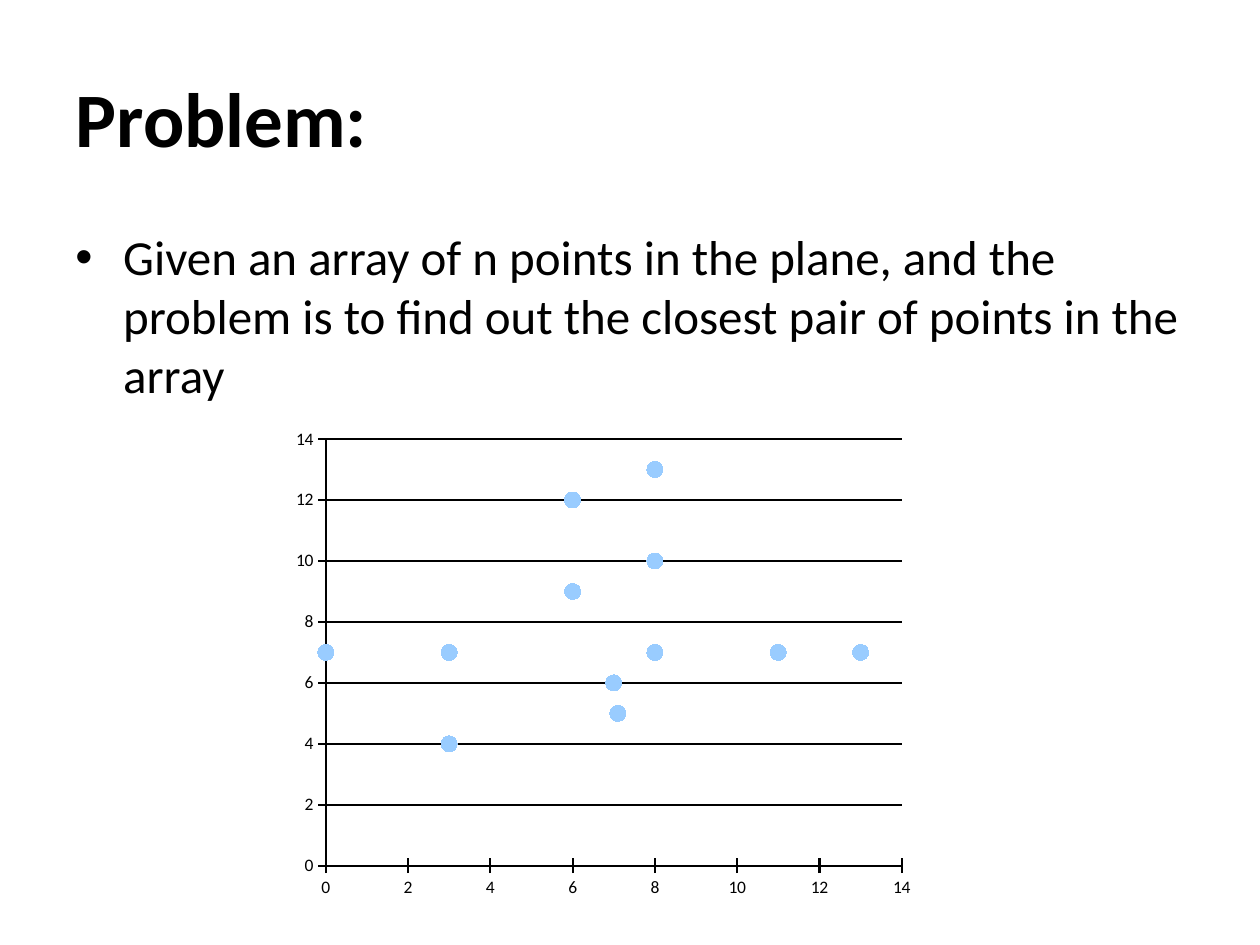
from lxml import etree
from pptx import Presentation
from pptx.chart.data import XyChartData
from pptx.dml.color import RGBColor
from pptx.enum.chart import XL_CHART_TYPE, XL_MARKER_STYLE, XL_TICK_MARK
from pptx.enum.text import MSO_ANCHOR, PP_ALIGN
from pptx.oxml.ns import qn
from pptx.util import Inches, Pt

SCATTER = XL_CHART_TYPE.XY_SCATTER
CIRCLE = XL_MARKER_STYLE.CIRCLE
CROSS, NONE = XL_TICK_MARK.CROSS, XL_TICK_MARK.NONE
MIDDLE, LEFT = MSO_ANCHOR.MIDDLE, PP_ALIGN.LEFT

INK, DOT = "000000", "99CCFF"
FACE = "Calibri"
POINTS = [(0, 7), (3, 7), (3, 4), (6, 12), (6, 9), (7, 6),
          (7.1, 5), (8, 13), (8, 10), (8, 7), (11, 7), (13, 7)]
PLOT = {"x": 0.066, "y": 0.04, "w": 0.9, "h": 0.873}


def color(code):
    return RGBColor.from_string(code)


def style(font, **values):
    values = {"name": FACE, **values}
    for key, value in values.items():
        setattr(font, key, value)
    font.color.rgb = color(INK)


def stroke(line):
    line.color.rgb = color(INK)
    line.width = Pt(1.25)


def add_title(slide, box):
    title = slide.shapes.title
    for key, value in zip(("left", "top", "width", "height"), box):
        setattr(title, key, Inches(value))
    frame = title.text_frame
    frame.text = "Problem:"
    frame.vertical_anchor = MIDDLE
    para = frame.paragraphs[0]
    para.alignment = LEFT
    style(para.runs[0].font, size=Pt(44), bold=True)


def add_body(slide, box):
    frame = slide.shapes.add_textbox(*map(Inches, box)).text_frame
    frame.word_wrap = True
    para = frame.paragraphs[0]
    para.space_before = Pt(5.6)
    run = para.add_run()
    run.text = ("Given an array of n points in the plane, and the problem "
                "is to find out the closest pair of points in the array")
    style(run.font, size=Pt(28))
    # Hanging bullet
    props = para._p.get_or_add_pPr()
    props.set("marL", str(Inches(0.38)))
    props.set("indent", str(-Inches(0.38)))
    etree.SubElement(props, qn("a:buFont")).set("typeface", "Arial")
    etree.SubElement(props, qn("a:buChar")).set("char", "\u2022")


def set_plot(chart):
    area = chart._chartSpace.chart.plotArea
    for old in area.findall(qn("c:layout")):
        area.remove(old)
    layout = etree.Element(qn("c:layout"))
    area.insert(0, layout)
    manual = etree.SubElement(layout, qn("c:manualLayout"))
    values = {"layoutTarget": "inner", "xMode": "edge", "yMode": "edge", **PLOT}
    for key, value in values.items():
        etree.SubElement(manual, qn("c:" + key)).set("val", str(value))


def add_scatter(slide, box):
    data = XyChartData()
    series = data.add_series("Series 1")
    for x, y in POINTS:
        series.add_data_point(x, y)
    chart = slide.shapes.add_chart(SCATTER, *map(Inches, box), data).chart
    chart.has_legend = chart.has_title = False
    style(chart.font, size=Pt(10))
    set_plot(chart)
    # Axes and grid
    limits = {"minimum_scale": 0, "maximum_scale": 14, "major_unit": 2,
              "major_tick_mark": CROSS, "minor_tick_mark": NONE}
    for axis in (chart.category_axis, chart.value_axis):
        for key, value in limits.items():
            setattr(axis, key, value)
        axis.has_major_gridlines = axis is not chart.category_axis
        stroke(axis.format.line)
    chart.category_axis.has_major_gridlines = False
    chart.value_axis.has_major_gridlines = True
    stroke(chart.value_axis.major_gridlines.format.line)
    # Dots without a joining line
    plot = chart.plots[0]
    plot.vary_by_categories = False
    dots = plot.series[0]
    dots.format.line.fill.background()
    mark = dots.marker
    mark.style, mark.size = CIRCLE, 9
    mark.format.fill.solid()
    mark.format.fill.fore_color.rgb = color(DOT)
    mark.format.line.color.rgb = color(DOT)


deck = Presentation()
deck.slide_width, deck.slide_height = Inches(10), Inches(7.5)
slide = deck.slides.add_slide(deck.slide_layouts[5])
add_title(slide, (0.5, 0.3, 9, 1.25))
add_body(slide, (0.5, 1.75, 9, 4.95))
add_scatter(slide, (2.25, 3.33, 5.08, 3.88))
deck.save("out.pptx")
